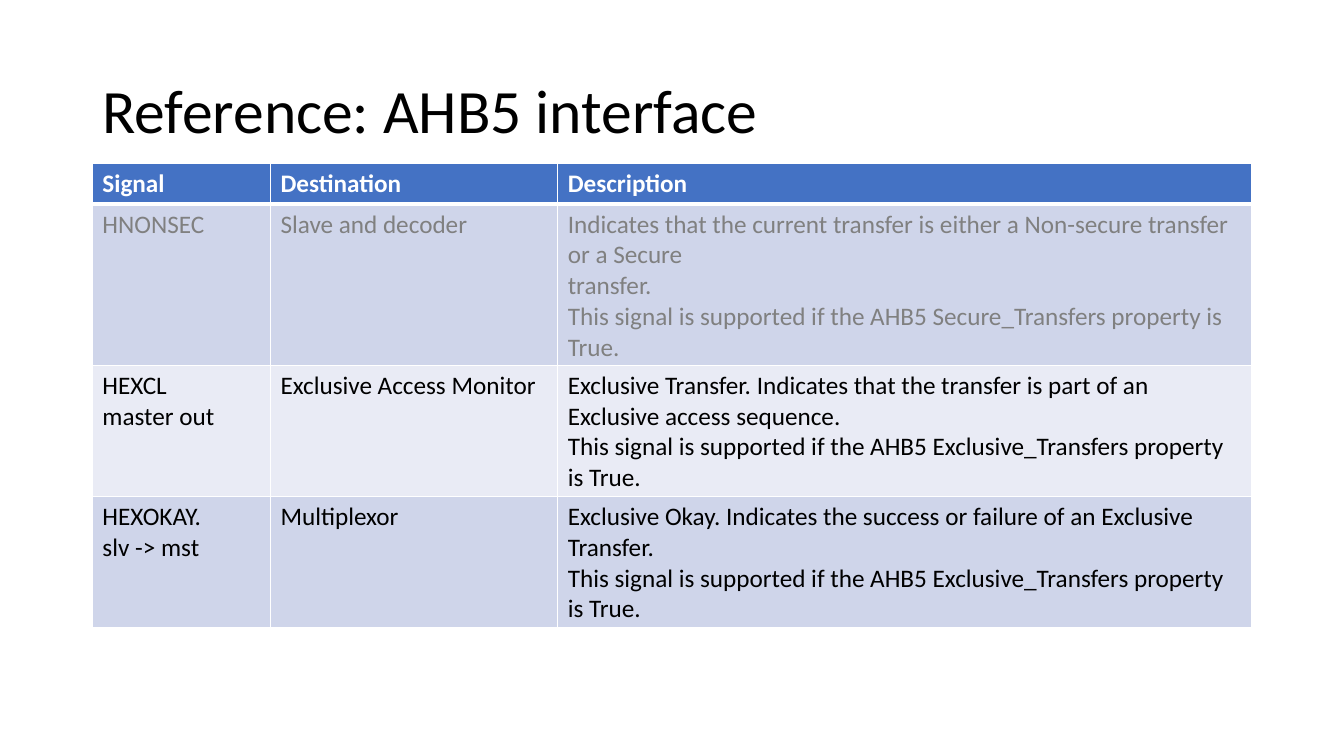
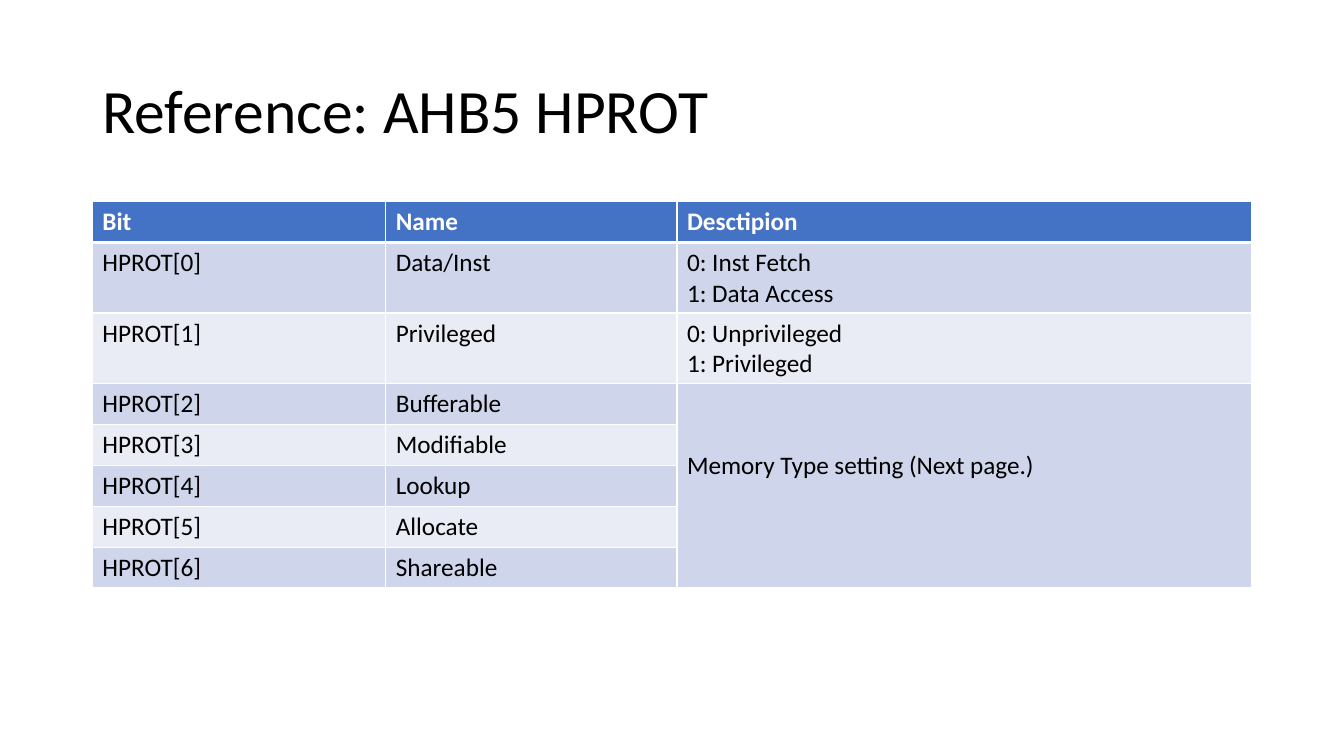
from dataclasses import dataclass

from lxml.etree import SubElement
from pptx import Presentation
from pptx.dml.color import RGBColor
from pptx.enum.text import MSO_ANCHOR
from pptx.oxml.ns import qn
from pptx.util import Pt


@dataclass(frozen=True)
class Theme:
    font: str = "Calibri"
    title_size: float = 44
    body_size: float = 18
    text: str = "000000"
    muted: str = "808080"
    white: str = "FFFFFF"
    header: str = "4472C4"
    bands: tuple = ("CFD5EA", "E9EBF5")
    rule: float = 1
    header_rule: float = 3


THEME = Theme()
LEFT, CONTENT_WIDTH = 66, 828
TITLE_TOP, TITLE_HEIGHT = 28.75, 104.4
ROW_HEIGHT = 29.2
LINE_HEIGHT = 22

INTERFACE_ROWS = [
    ("Signal", "Destination", "Description"),
    ("HNONSEC", "Slave and decoder",
     "Indicates that the current transfer is either a Non-secure transfer or a Secure\n"
     "transfer.\n"
     "This signal is supported if the AHB5 Secure_Transfers property is True."),
    ("HEXCL\nmaster out", "Exclusive Access Monitor",
     "Exclusive Transfer. Indicates that the transfer is part of an Exclusive access sequence.\n"
     "This signal is supported if the AHB5 Exclusive_Transfers property is True."),
    ("HEXOKAY.\nslv -> mst", "Multiplexor",
     "Exclusive Okay. Indicates the success or failure of an Exclusive Transfer.\n"
     "This signal is supported if the AHB5 Exclusive_Transfers property is True."),
]

HPROT_FIELDS = [
    ("Data/Inst", "0: Inst Fetch\n1: Data Access"),
    ("Privileged", "0: Unprivileged\n1: Privileged"),
    ("Bufferable", "Memory Type setting (Next page.)"),
    ("Modifiable", ""),
    ("Lookup", ""),
    ("Allocate", ""),
    ("Shareable", ""),
]
HPROT_ROWS = [("Bit", "Name", "Desctipion")] + [
    (f"HPROT[{bit}]", *field) for bit, field in enumerate(HPROT_FIELDS)
]


def write_text(frame, text, size, color, bold=False, line_spacing=None):
    """Write each line of text as a paragraph of its own."""
    for index, line in enumerate(text.split("\n")):
        para = frame.add_paragraph() if index else frame.paragraphs[0]
        if line_spacing:
            para.line_spacing = line_spacing
        if not line:
            continue
        span = para.add_run()
        span.text = line
        span.font.name = THEME.font
        span.font.size = Pt(size)
        span.font.bold = bold
        span.font.color.rgb = RGBColor.from_string(color)


def add_title(page, text):
    box = page.shapes.add_textbox(
        Pt(LEFT), Pt(TITLE_TOP), Pt(CONTENT_WIDTH), Pt(TITLE_HEIGHT))
    frame = box.text_frame
    frame.word_wrap = True
    frame.vertical_anchor = MSO_ANCHOR.MIDDLE
    write_text(frame, text, THEME.title_size, THEME.text, line_spacing=0.9)


def set_borders(cell, top, bottom):
    """Draw white borders; must run before the fill, which follows them in the XML."""
    properties = cell._tc.get_or_add_tcPr()
    widths = {"L": THEME.rule, "R": THEME.rule, "T": top, "B": bottom}
    for side, width in widths.items():
        line = SubElement(properties, qn(f"a:ln{side}"), w=str(Pt(width)))
        fill = SubElement(line, qn("a:solidFill"))
        SubElement(fill, qn("a:srgbClr"), val=THEME.white)


def style_cell(cell, row_index, text, color):
    is_header = row_index == 0
    set_borders(
        cell,
        top=THEME.header_rule if row_index == 1 else THEME.rule,
        bottom=THEME.header_rule if is_header else THEME.rule)
    band = THEME.bands[(row_index - 1) % len(THEME.bands)]
    cell.fill.solid()
    cell.fill.fore_color.rgb = RGBColor.from_string(THEME.header if is_header else band)
    write_text(cell.text_frame, text, THEME.body_size,
               THEME.white if is_header else color, bold=is_header)


def add_banded_table(page, top, column_widths, rows, muted_rows=()):
    frame = page.shapes.add_table(
        len(rows), len(column_widths), Pt(LEFT), Pt(top),
        Pt(CONTENT_WIDTH), Pt(ROW_HEIGHT * len(rows)))
    table = frame.table
    for column, width in zip(table.columns, column_widths):
        column.width = Pt(width)
    for row_index, texts in enumerate(rows):
        table.rows[row_index].height = Pt(ROW_HEIGHT)
        color = THEME.muted if row_index in muted_rows else THEME.text
        for column_index, text in enumerate(texts):
            style_cell(table.cell(row_index, column_index), row_index, text, color)
    return table


def merge_down(table, first_row, column, lines_above):
    """Merge a column's cells to the last row, with its text some lines lower."""
    cell = table.cell(first_row, column)
    cell.merge(table.cell(len(table.rows) - 1, column))
    cell.margin_top = Pt(3.6 + lines_above * LINE_HEIGHT)


def add_page(deck, title):
    page = deck.slides.add_slide(deck.slide_layouts[6])
    add_title(page, title)
    return page


def main():
    deck = Presentation()
    deck.slide_width, deck.slide_height = Pt(960), Pt(540)

    page = add_page(deck, "Reference: AHB5 interface")
    add_banded_table(page, 116.6, (127.2, 205.2, 495.6), INTERFACE_ROWS, muted_rows=(1,))

    page = add_page(deck, "Reference: AHB5 HPROT")
    table = add_banded_table(page, 144, (209.6, 208, 410.4), HPROT_ROWS)
    merge_down(table, first_row=3, column=2, lines_above=2)

    deck.save("out.pptx")


if __name__ == "__main__":
    main()
